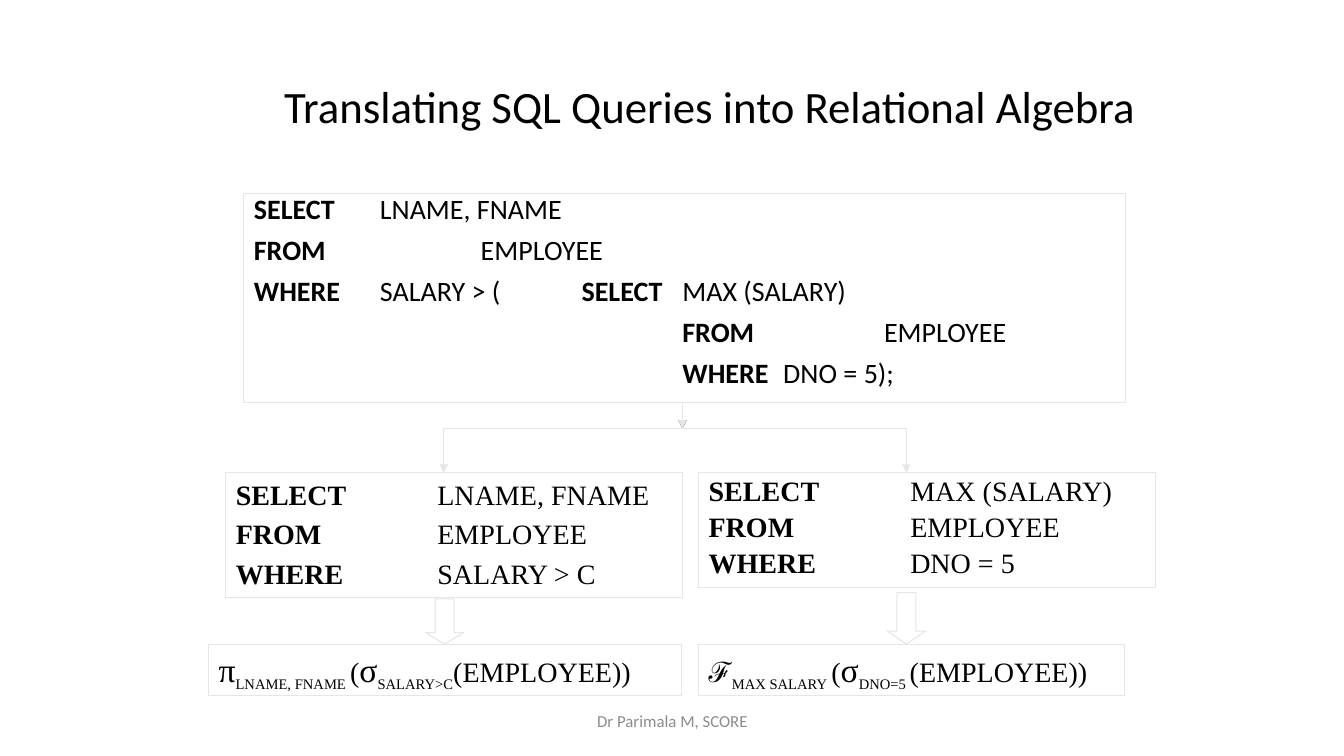
import pptx
import pptx.dml.color
import pptx.enum.shapes
import pptx.enum.text
import pptx.oxml.ns
import pptx.util
from lxml import etree
from pptx.util import Inches

BLACK, PALE_GRAY, FOOTER_GRAY = "000000", "E7E6E6", "8C8C8C"
SERIF, SANS = "Times New Roman", "Calibri"
SHAPE = pptx.enum.shapes.MSO_SHAPE
MIDDLE = pptx.enum.text.MSO_ANCHOR.MIDDLE


def color(hex_code):
    return pptx.dml.color.RGBColor.from_string(hex_code)


def add_outline(kind, left, top, width, height):
    """Add an unfilled shape with a thin pale border and left-aligned text."""
    shape = slide.shapes.add_shape(
        kind, Inches(left), Inches(top), Inches(width), Inches(height))
    shape.shadow.inherit = False
    shape.fill.background()
    shape.line.color.rgb = color(PALE_GRAY)
    shape.line.width = pptx.util.Pt(0.75)
    shape.text_frame.word_wrap = True
    shape.text_frame.vertical_anchor = pptx.enum.text.MSO_ANCHOR.TOP
    shape.text_frame.paragraphs[0].alignment = pptx.enum.text.PP_ALIGN.LEFT
    return shape


presentation = pptx.Presentation()
presentation.slide_width = Inches(13.33)
presentation.slide_height = Inches(7.5)
slide = presentation.slides.add_slide(presentation.slide_layouts[6])

# Title and footer
captions = [
    ("Translating SQL Queries into Relational Algebra",
     (2.72, 0.46, 8.74, 1.25), 32, BLACK, pptx.enum.text.PP_ALIGN.LEFT, 0.9),
    ("Dr Parimala M, SCORE",
     (4.42, 6.95, 4.5, 0.4), 12, FOOTER_GRAY, pptx.enum.text.PP_ALIGN.CENTER, 1.0),
]
for wording, place, size, ink, alignment, spacing in captions:
    caption = slide.shapes.add_textbox(*[Inches(length) for length in place])
    caption.text_frame.word_wrap = True
    caption.text_frame.vertical_anchor = MIDDLE
    caption.text_frame.text = wording
    paragraph = caption.text_frame.paragraphs[0]
    paragraph.alignment = alignment
    paragraph.line_spacing = spacing
    font = paragraph.runs[0].font
    font.name, font.size, font.color.rgb = SANS, pptx.util.Pt(size), color(ink)

# SQL blocks: place, font, line spacing, space before, hanging indent, lines
queries = [
    ((2.42, 1.92, 8.74, 2.07), SANS, 0.8, 10, 0.25, [
        ["SELECT", "\tLNAME, FNAME"],
        ["FROM", "\t\tEMPLOYEE"],
        ["WHERE", "\tSALARY > (\t", "SELECT", "\tMAX (SALARY)"],
        ["\t\t\t\t\t", "FROM", "\t\tEMPLOYEE"],
        ["\t\t\t\t\t", "WHERE", "\tDNO = 5);"]]),
    ((6.93, 4.69, 4.53, 1.14), SERIF, 0.9, 4, 0, [
        ["SELECT", "\tMAX (SALARY)"],
        ["FROM", "\t\tEMPLOYEE"],
        ["WHERE", "\tDNO = 5"]]),
    ((2.24, 4.69, 4.53, 1.24), SERIF, 1.0, 4, 0, [
        ["SELECT", "\tLNAME, FNAME"],
        ["FROM", "\t\tEMPLOYEE"],
        ["WHERE", "\tSALARY > C"]]),
]
for place, typeface, spacing, space_before, indent, lines in queries:
    frame = add_outline(SHAPE.RECTANGLE, *place).text_frame
    for number, parts in enumerate(lines):
        paragraph = frame.add_paragraph() if number else frame.paragraphs[0]
        paragraph.alignment = pptx.enum.text.PP_ALIGN.LEFT
        paragraph.line_spacing = spacing
        paragraph.space_before = pptx.util.Pt(space_before if number else 0)
        properties = paragraph._p.get_or_add_pPr()
        properties.set("defTabSz", str(Inches(1)))
        properties.set("marL", str(Inches(indent)))
        properties.set("indent", str(-Inches(indent)))
        for part in parts:
            run = paragraph.add_run()
            run.text = part
            run.font.name, run.font.size = typeface, pptx.util.Pt(20)
            run.font.bold = part in ("SELECT", "FROM", "WHERE")
            run.font.color.rgb = color(BLACK)

# Split of the nested query into its two blocks
outer_x, split_x, inner_x = 4.4, 6.77, 8.99
query_bottom, split_y, block_top = 3.99, 4.25, 4.69
branches = [
    (split_x, query_bottom, split_x, split_y, BLACK, True),
    (outer_x, split_y, inner_x, split_y, PALE_GRAY, False),
    (split_x, query_bottom, split_x, split_y, PALE_GRAY, True),
    (outer_x, split_y, outer_x, block_top, PALE_GRAY, True),
    (inner_x, split_y, inner_x, block_top, PALE_GRAY, True),
]
for *ends, ink, has_arrow in branches:
    branch = slide.shapes.add_connector(
        pptx.enum.shapes.MSO_CONNECTOR.STRAIGHT, *[Inches(end) for end in ends])
    branch.line.color.rgb = color(ink)
    branch.line.width = pptx.util.Pt(0.75)
    if has_arrow:
        etree.SubElement(branch.line._get_or_add_ln(),
                         pptx.oxml.ns.qn("a:tailEnd"), type="triangle")
    etree.SubElement(branch._element.spPr, pptx.oxml.ns.qn("a:effectLst"))

# Algebra expressions: runs of text, size, typeface, subscript
expressions = [
    (2.07, 4.69, [
        ("π", 24, SERIF, False), ("LNAME, FNAME", 18, SERIF, True),
        (" ", 20, SERIF, True), ("(", 20, SERIF, False),
        ("σ", 24, SERIF, False), ("SALARY>C", 18, SERIF, True),
        ("(EMPLOYEE))", 20, SERIF, False)]),
    (6.93, 4.22, [
        ("ℱ", 20, "Arial", False), ("MAX SALARY", 18, SERIF, True),
        (" ", 20, SERIF, True), ("(", 20, SERIF, False),
        ("σ", 24, SERIF, False), ("DNO=5 ", 18, SERIF, True),
        ("(EMPLOYEE))", 20, SERIF, False)]),
]
algebra_top = 6.39
for left, width, parts in expressions:
    frame = add_outline(SHAPE.RECTANGLE, left, algebra_top, width, 0.51).text_frame
    for part, size, typeface, is_subscript in parts:
        run = frame.paragraphs[0].add_run()
        run.text = part
        run.font.name, run.font.size = typeface, pptx.util.Pt(size)
        run.font.color.rgb = color(BLACK)
        if is_subscript:
            run.font._element.set("baseline", "-25000")

# Block arrows from each query block to its expression
for left, top, head in [(4.22, 5.94, 0.3), (8.8, 5.88, 0.34)]:
    arrow = add_outline(SHAPE.DOWN_ARROW, left, top, 0.38, algebra_top - top)
    arrow.adjustments[0] = 0.5
    arrow.adjustments[1] = head

presentation.save("out.pptx")
